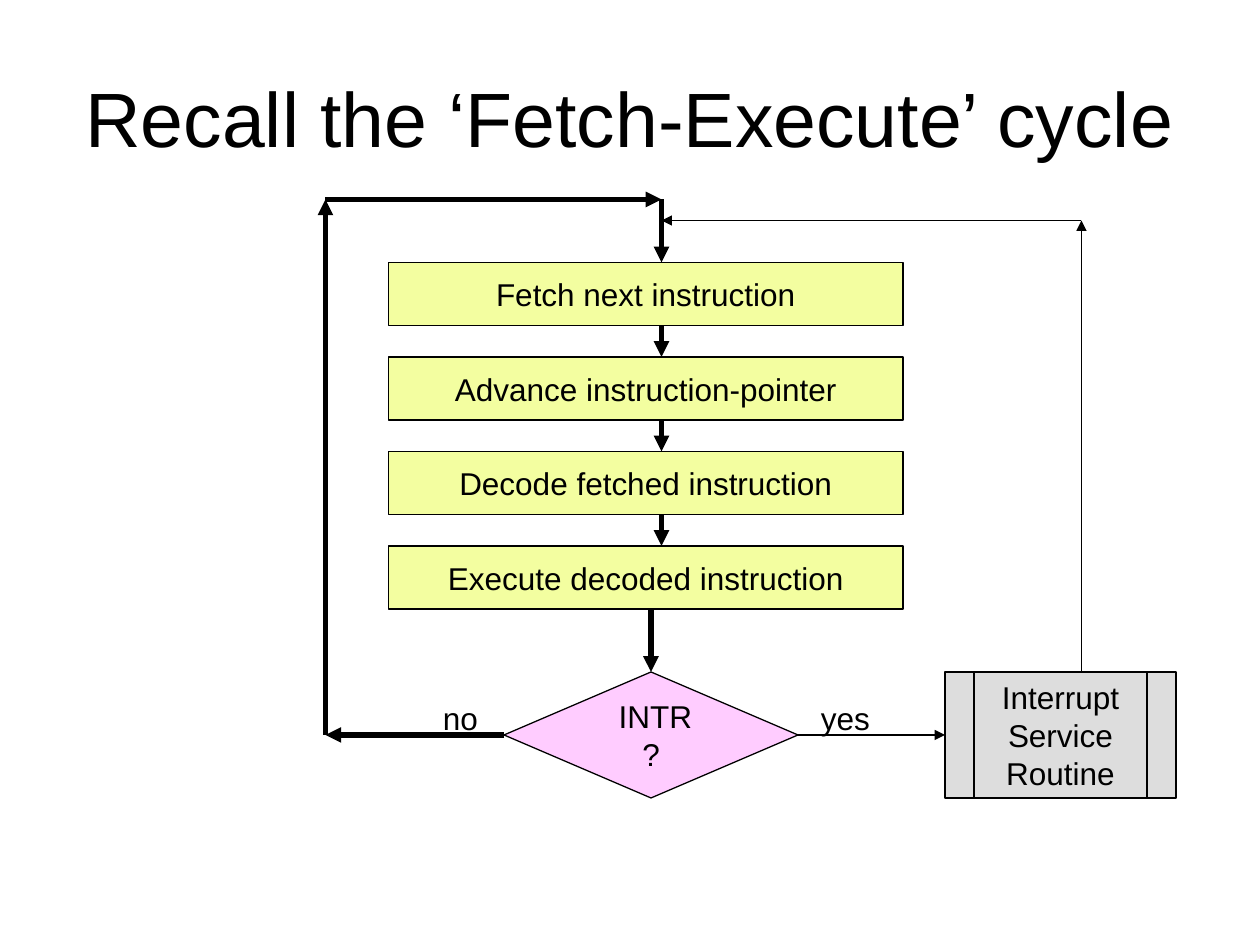
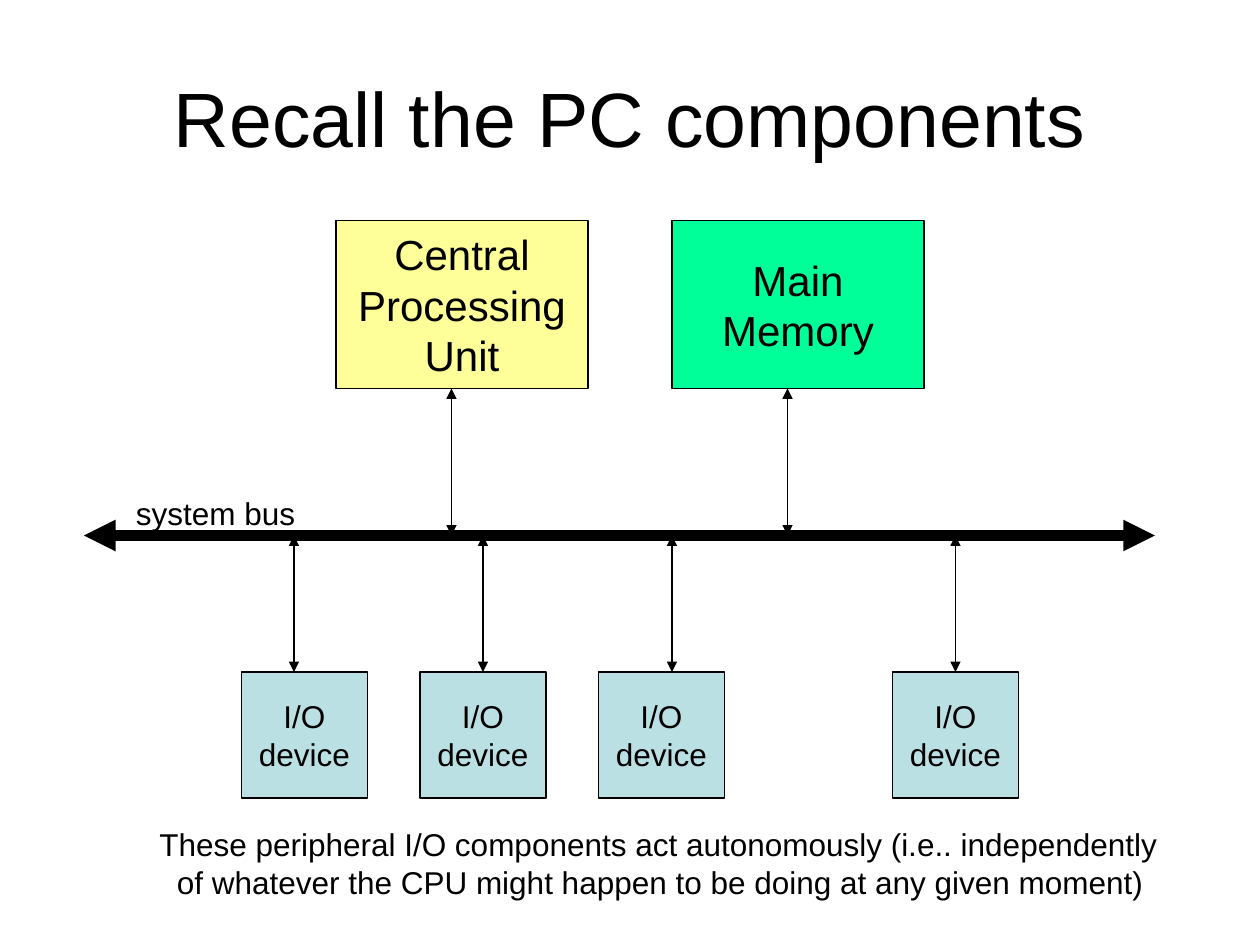
from lxml import etree
from pptx import Presentation
from pptx.dml.color import RGBColor
from pptx.enum.shapes import MSO_CONNECTOR, MSO_SHAPE
from pptx.enum.text import MSO_ANCHOR, MSO_AUTO_SIZE, PP_ALIGN
from pptx.oxml.ns import qn
from pptx.util import Pt

LINE = MSO_CONNECTOR.STRAIGHT
RECT = MSO_SHAPE.RECTANGLE
PROCESS = MSO_SHAPE.FLOWCHART_PROCESS
DECISION = MSO_SHAPE.FLOWCHART_DECISION
SUBROUTINE = MSO_SHAPE.FLOWCHART_PREDEFINED_PROCESS
LEFT, CENTER = PP_ALIGN.LEFT, PP_ALIGN.CENTER
TOP, MIDDLE = MSO_ANCHOR.TOP, MSO_ANCHOR.MIDDLE
NO_FIT = MSO_AUTO_SIZE.NONE

FONT = "Arial"
BLACK = "000000"
LIME, PINK, GREY = "F3FEA0", "FFCCFF", "DDDDDD"
YELLOW, GREEN, BLUE = "FFFF99", "00FF99", "BBE0E3"
THIN, THICK, BUS = 0.75, 3, 6
TITLE_BOX = (36, 21.6, 648, 90)


def color(hex_text):
    return RGBColor.from_string(hex_text)


def set_attrs(target, values):
    for name, value in values.items():
        setattr(target, name, value)


def write(sp, text, size=18, align=CENTER, anchor=MIDDLE, wrap=False, indents=()):
    """Fill a shape; indents gives the left margin of each leading paragraph."""
    tf = sp.text_frame
    tf.text = text
    set_attrs(tf, {"word_wrap": wrap, "auto_size": NO_FIT, "vertical_anchor": anchor})
    for p in tf.paragraphs:
        p.alignment = align
        for r in p.runs:
            set_attrs(r.font, {"name": FONT, "size": Pt(size)})
            r.font.color.rgb = color(BLACK)
    for p, indent in zip(tf.paragraphs, indents):
        pPr = p._p.get_or_add_pPr()
        pPr.set("marL", str(Pt(indent)))
        pPr.set("indent", "0")


def add_box(slide, kind, x, y, w, h, fill, text, **style):
    sp = slide.shapes.add_shape(kind, Pt(x), Pt(y), Pt(w), Pt(h))
    sp.shadow.inherit = False
    sp.fill.solid()
    sp.fill.fore_color.rgb = color(fill)
    sp.line.color.rgb = color(BLACK)
    sp.line.width = Pt(THIN)
    write(sp, text, **style)


def add_label(slide, x, y, w, text, h=28.8, **style):
    sp = slide.shapes.add_textbox(Pt(x), Pt(y), Pt(w), Pt(h))
    write(sp, text, align=LEFT, anchor=TOP, **style)


def add_arrow(slide, start, end, width=THIN, both=False):
    sp = slide.shapes.add_connector(LINE, *(Pt(v) for v in (*start, *end)))
    sp.line.color.rgb = color(BLACK)
    sp.line.width = Pt(width)
    ln = sp.line._get_or_add_ln()
    for tag in ("a:headEnd", "a:tailEnd") if both else ("a:tailEnd",):
        etree.SubElement(ln, qn(tag), type="triangle")
    etree.SubElement(sp._element.spPr, qn("a:effectLst"))


def add_slide(prs, title):
    slide = prs.slides.add_slide(prs.slide_layouts[5])
    sp = slide.shapes.title
    set_attrs(sp, dict(zip(("left", "top", "width", "height"), map(Pt, TITLE_BOX))))
    write(sp, title, size=44, wrap=True)
    return slide


def fetch_execute_cycle(slide, x, y):
    """Main loop: steps, interrupt test and the way back to the top."""
    steps = ("Fetch next instruction", "Advance instruction-pointer",
             "Decode fetched instruction", "Execute decoded instruction")
    step_h, pitch = 36, 54
    flow_x, first_y = x + 192, y + 36
    test_x, test_y, test_w, test_h = x + 102, y + 270, 168, 72
    test_mid_x, test_mid_y = test_x + test_w / 2, test_y + test_h / 2

    # Steps, each with the arrow that enters it
    for i, step in enumerate(steps):
        step_y = first_y + i * pitch
        add_box(slide, PROCESS, x + 36, step_y, 294, step_h, LIME, step)
        from_y = step_y - pitch + step_h if i else y
        add_arrow(slide, (flow_x, from_y), (flow_x, step_y), THICK)

    # Interrupt test
    add_box(slide, DECISION, test_x, test_y, test_w, test_h, PINK, "INTR\n?", indents=(5,))
    last_bottom = first_y + (len(steps) - 1) * pitch + step_h
    add_arrow(slide, (test_mid_x, last_bottom), (test_mid_x, test_y), THICK)

    # Return path when there is no interrupt
    corners = ((test_x, test_mid_y), (x, test_mid_y), (x, y), (flow_x, y))
    for start, end in zip(corners, corners[1:]):
        add_arrow(slide, start, end, THICK)
    add_label(slide, x + 60, test_y + 12, 34.56, "no")


def interrupt_branch(slide, x, y, flow_x, join_y):
    """Service routine to the right of the test, rejoining the flow above."""
    routine_x, h = x + 84, 72
    return_x = routine_x + 78
    add_box(slide, SUBROUTINE, routine_x, y, 132, h, GREY, "Interrupt\nService\nRoutine")
    add_arrow(slide, (x, y + h / 2), (routine_x, y + h / 2))
    add_label(slide, x + 6, y + 12, 42.5, "yes")
    add_arrow(slide, (return_x, y), (return_x, join_y))
    add_arrow(slide, (return_x, join_y), (flow_x, join_y))


def core_units(slide, x, y, bus_y):
    """Processor and memory above the bus."""
    units = (("Central\nProcessing\nUnit", YELLOW), ("Main\nMemory", GREEN))
    w, h, pitch = 144, 96, 192
    for i, (name, fill) in enumerate(units):
        left = x + i * pitch
        add_box(slide, RECT, left, y, w, h, fill, name, size=24)
        add_arrow(slide, (left + 66, y + h), (left + 66, bus_y), both=True)


def io_devices(slide, x, y, bus_y):
    """Devices below the bus: offsets of each box and of its arrow."""
    side = 72
    for box_dx, arrow_dx in ((0, 30), (102, 138), (204, 246), (372, 408)):
        add_box(slide, RECT, x + box_dx, y, side, side, BLUE, "I/O\ndevice")
        add_arrow(slide, (x + arrow_dx, bus_y), (x + arrow_dx, y), both=True)


def system_bus(slide, x, y, w):
    add_arrow(slide, (x, y), (x + w, y), BUS, both=True)
    add_label(slide, x + 22.6, y - 27.4, 105, "system bus")


def main():
    prs = Presentation()
    prs.slide_width, prs.slide_height = Pt(720), Pt(540)

    # Fetch-execute cycle
    slide = add_slide(prs, "Recall the ‘Fetch-Execute’ cycle")
    fetch_execute_cycle(slide, 186, 114)
    interrupt_branch(slide, 456, 384, flow_x=378, join_y=126)

    # Computer components
    slide = add_slide(prs, "Recall the PC components")
    bus_y = 306
    core_units(slide, 192, 126, bus_y)
    io_devices(slide, 138, 384, bus_y)
    system_bus(slide, 48, bus_y, 612)
    add_label(slide, 84, 468, 590,
              "These peripheral I/O components act autonomously (i.e.. independently\n"
              "of whatever the CPU might happen to be doing at any given moment)",
              h=50.4, indents=(0, 10))

    prs.save("out.pptx")


if __name__ == "__main__":
    main()
